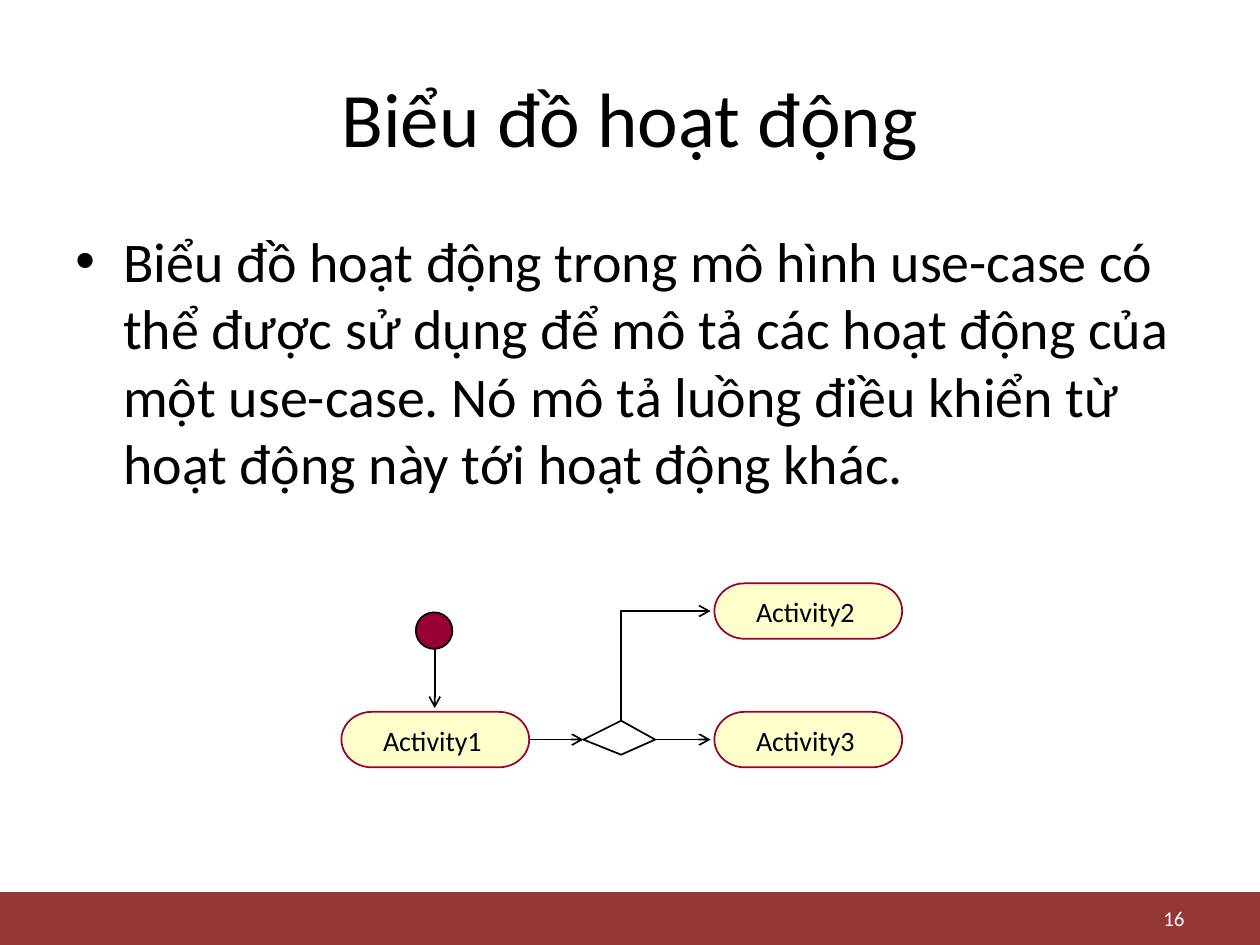
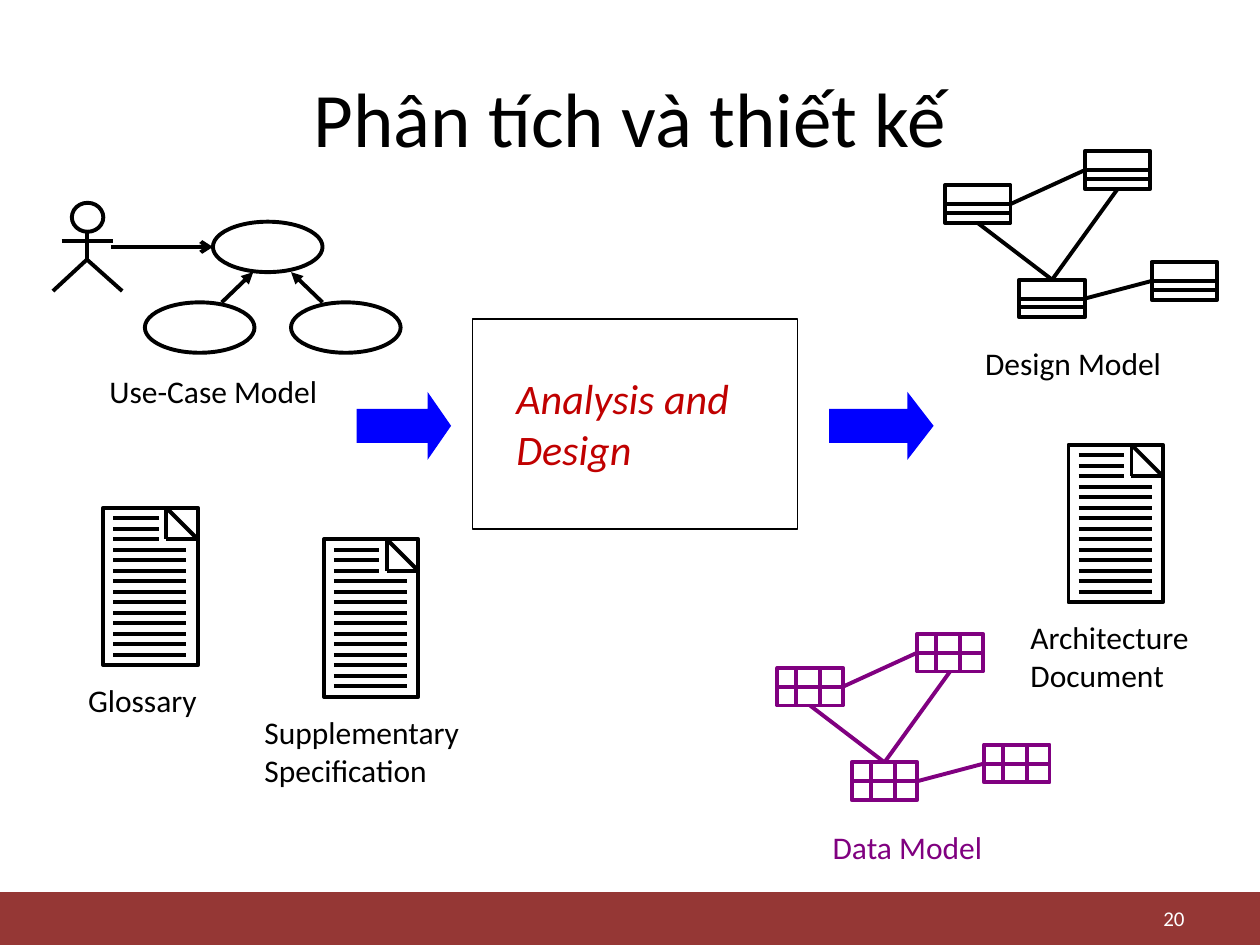
import pptx
import pptx.util
import pptx.dml.color
import pptx.enum.shapes
import pptx.enum.text
import pptx.oxml
import pptx.oxml.ns
from pptx.util import Inches

FONT = "Calibri"
BLACK, WHITE, BAND = "000000", "FFFFFF", "953735"
MAROON, CREAM = "990033", "FFFFCC"
PURPLE, BLUE, RED = "800080", "0000FF", "C00000"
THIN, THICK = 1, 2.25

MSO = pptx.enum.shapes.MSO_SHAPE
ALIGN = pptx.enum.text.PP_ALIGN
ANCHOR = pptx.enum.text.MSO_ANCHOR
AUTO = pptx.enum.text.MSO_AUTO_SIZE
TOP, LEFT, BOTTOM, RIGHT = range(4)

ACTIVITY_TITLE, ACTIVITY_PAGE = "Biểu đồ hoạt động", "16"
ACTIVITY_BODY = (
    "Biểu đồ hoạt động trong mô hình use-case có thể được sử dụng để mô tả "
    "các hoạt động của một use-case. Nó mô tả luồng điều khiển từ hoạt động "
    "này tới hoạt động khác."
)
ACTIVITIES = [("Activity1", 2.71, 5.65), ("Activity2", 5.67, 4.63), ("Activity3", 5.67, 5.65)]
ACTIVITY_SIZE = (1.49, 0.44)
DECISION = [(4.63, 5.87), (4.93, 5.72), (5.2, 5.87), (4.93, 5.99)]
BRANCH = [(4.93, 5.72), (4.93, 4.85), (5.64, 4.85)]

DESIGN_TITLE, DESIGN_PAGE = "Phân tích và thiết kế", "20"
DOCUMENTS = [
    (2.57, 4.28, ["Supplementary", "Specification"], (2, 5.61, 1.88, 0.7)),
    (8.48, 3.53, ["Architecture", "Document"], (8.08, 4.86, 1.53, 0.7)),
    (0.82, 4.03, ["Glossary"], (0.6, 5.36, 1.19, 0.4)),
]
DOC_W, DOC_H, FOLD, DOC_ROWS, SHORT_ROWS = 0.75, 1.25, 0.25, 15, 3
MODELS = [
    (7.5, 1.2, BLACK, [0.15, 0.22], [], "Design Model", (7.72, 2.68, 1.73, 0.4)),
    (6.17, 5.03, PURPLE, [0.15], [0.15, 0.34], "Data Model", (6.51, 6.52, 1.48, 0.4)),
]
MODEL_BOXES = [(0, 0.27), (1.11, 0), (0.59, 1.02), (1.64, 0.88)]
MODEL_LINKS = [(2, TOP, 0, BOTTOM), (0, RIGHT, 1, LEFT), (2, RIGHT, 3, LEFT), (2, TOP, 1, BOTTOM)]
BOX_W, BOX_H = 0.52, 0.3
USE_CASES = [(1.69, 1.76), (1.15, 2.4), (2.31, 2.4)]
ACTOR_LINES = [((0.69, 1.85), (0.69, 2.06)), ((0.49, 1.91), (0.9, 1.91))]
ACTOR_LEGS = [(0.42, 2.31), (0.69, 2.06), (0.97, 2.31)]
USE_CASE_ARROWS = [
    ((0.88, 1.96), (1.69, 1.96), "arrow"),
    ((1.76, 2.4), (2.01, 2.16), "triangle"),
    ((2.56, 2.4), (2.31, 2.16), "triangle"),
]
BLOCK_ARROWS = [(2.83, 0.75, 0.346), (6.58, 0.83, 0.385)]


def rgb(color):
    return pptx.dml.color.RGBColor.from_string(color)


def element(xml):
    return pptx.oxml.parse_xml(xml.replace(">", " " + pptx.oxml.ns.nsdecls("a") + ">", 1))


def style(sp, fill=None, line=None, width=THIN):
    sp.shadow.inherit = False
    if fill:
        sp.fill.solid()
        sp.fill.fore_color.rgb = rgb(fill)
    else:
        sp.fill.background()
    if line:
        sp.line.color.rgb = rgb(line)
        sp.line.width = pptx.util.Pt(width)
    else:
        sp.line.fill.background()
    return sp


def shape(shapes, kind, box, fill=None, line=None, width=THIN):
    return style(shapes.add_shape(kind, *map(Inches, box)), fill, line, width)


def arrowhead(sp, head):
    sp.line._get_or_add_ln().append(element(f'<a:tailEnd type="{head}"></a:tailEnd>'))


def connect(shapes, start, end, color=BLACK, width=THICK, head=None):
    points = map(Inches, (*start, *end))
    c = shapes.add_connector(pptx.enum.shapes.MSO_CONNECTOR.STRAIGHT, *points)
    c.line.color.rgb = rgb(color)
    c.line.width = pptx.util.Pt(width)
    if head:
        arrowhead(c, head)
    c._element.spPr.append(element("<a:effectLst></a:effectLst>"))
    return c


def outline(shapes, points, width, close=False):
    first, *rest = [(Inches(x), Inches(y)) for x, y in points]
    builder = shapes.build_freeform(*first, scale=1.0)
    builder.add_line_segments(rest, close=close)
    return style(builder.convert_to_shape(), None, BLACK, width)


def write(tf, lines, size, color=BLACK, align=ALIGN.LEFT, italic=False):
    for i, line in enumerate(lines):
        p = tf.add_paragraph() if i else tf.paragraphs[0]
        p.alignment = align
        r = p.add_run()
        r.text = line
        r.font.name = FONT
        r.font.size = pptx.util.Pt(size)
        r.font.color.rgb = rgb(color)
        if italic:
            r.font.italic = True


def textbox(shapes, box, lines, size, color=BLACK, wrap=True, **kwargs):
    tf = shapes.add_textbox(*map(Inches, box)).text_frame
    tf.word_wrap = wrap
    write(tf, lines, size, color, **kwargs)
    return tf


def label(shapes, box, lines, color=BLACK):
    tf = textbox(shapes, box, lines, 18, color, wrap=False)
    tf.auto_size = AUTO.SHAPE_TO_FIT_TEXT


def group(s):
    return s.shapes.add_group_shape().shapes


def new_slide(prs, title, page):
    s = prs.slides.add_slide(prs.slide_layouts.get_by_name("Title Only"))
    shape(s.shapes, MSO.RECTANGLE, (0, 7.08, 10, 0.42), BAND)
    sp = s.shapes.title
    sp.left, sp.top, sp.width, sp.height = map(Inches, (0.5, 0.3, 9, 1.25))
    sp.text_frame.vertical_anchor = ANCHOR.MIDDLE
    write(sp.text_frame, [title], 44, align=ALIGN.CENTER)
    tf = textbox(s.shapes, (7.17, 7.15, 2.33, 0.27), [page], 12, WHITE, align=ALIGN.RIGHT)
    tf.vertical_anchor = ANCHOR.MIDDLE
    return s


def draw_activity(shapes, name, x, y):
    sp = shape(shapes, MSO.FLOWCHART_TERMINATOR, (x, y, *ACTIVITY_SIZE), CREAM, MAROON)
    tf = textbox(shapes, (x + 0.21, y + 0.03, 1.08, 0.39), [name], 16)
    tf.margin_left = tf.margin_right = Inches(0.12)
    tf.margin_top = tf.margin_bottom = Inches(0.06)
    return sp


def activity_slide(prs):
    s = new_slide(prs, ACTIVITY_TITLE, ACTIVITY_PAGE)
    tf = textbox(s.shapes, (0.5, 1.75, 9, 2.5), [ACTIVITY_BODY], 32)
    pPr = tf.paragraphs[0]._p.get_or_add_pPr()
    pPr.set("marL", str(Inches(0.38)))
    pPr.set("indent", str(-Inches(0.38)))
    pPr.append(element('<a:buFont typeface="Arial"></a:buFont>'))
    pPr.append(element('<a:buChar char="•"></a:buChar>'))

    arrowhead(outline(s.shapes, BRANCH, THIN), "arrow")
    outline(s.shapes, DECISION, THIN, close=True)
    connect(s.shapes, (3.45, 5.12), (3.45, 5.62), width=THIN, head="arrow")
    shape(s.shapes, MSO.OVAL, (3.3, 4.86, 0.29, 0.29), MAROON, BLACK)
    first, *_ = [draw_activity(s.shapes, *activity) for activity in ACTIVITIES]
    c = connect(s.shapes, (4.2, 5.87), DECISION[0], width=THIN, head="arrow")
    c.begin_connect(first, RIGHT)
    connect(s.shapes, DECISION[2], (5.64, 5.87), width=THIN, head="arrow")


def draw_document(shapes, x, y, lines, label_box):
    shape(shapes, MSO.RECTANGLE, (x, y, DOC_W, DOC_H), None, BLACK, THICK)
    fold = x + DOC_W - FOLD
    a, b, c = (fold, y), (x + DOC_W, y + FOLD), (fold, y + FOLD)
    for start, end in ((a, b), (a, c), (b, c)):
        connect(shapes, start, end)
    for row in range(1, DOC_ROWS):
        row_y = y + row * DOC_H / DOC_ROWS
        end_x = x + (0.44 if row <= SHORT_ROWS else 0.66)
        connect(shapes, (x + 0.08, row_y), (end_x, row_y))
    label(shapes, label_box, lines)


def draw_model(shapes, x, y, color, rows, columns, name, label_box):
    boxes = []
    for dx, dy in MODEL_BOXES:
        bx, by = x + dx, y + dy
        boxes.append(shape(shapes, MSO.RECTANGLE, (bx, by, BOX_W, BOX_H), None, color, THICK))
        for row in rows:
            connect(shapes, (bx, by + row), (bx + BOX_W, by + row), color)
        for column in columns:
            connect(shapes, (bx + column, by), (bx + column, by + BOX_H), color)
    for begin, begin_side, end, end_side in MODEL_LINKS:
        c = connect(shapes, (x, y), (x + BOX_W, y + BOX_H), color)
        c.begin_connect(boxes[begin], begin_side)
        c.end_connect(boxes[end], end_side)
    label(shapes, label_box, [name], color)


def draw_use_cases(shapes):
    shape(shapes, MSO.OVAL, (0.57, 1.61, 0.25, 0.23), None, BLACK, THICK)
    for start, end in ACTOR_LINES:
        connect(shapes, start, end)
    outline(shapes, ACTOR_LEGS, THICK)
    for x, y in USE_CASES:
        shape(shapes, MSO.OVAL, (x, y, 0.87, 0.4), None, BLACK, THICK)
    for start, end, head in USE_CASE_ARROWS:
        connect(shapes, start, end, head=head)
    label(shapes, (0.77, 2.9, 2.06, 0.4), ["Use-Case Model"])


def design_slide(prs):
    s = new_slide(prs, DESIGN_TITLE, DESIGN_PAGE)
    draw_use_cases(group(s))
    for model in MODELS:
        draw_model(group(s), *model)
    for document in DOCUMENTS:
        draw_document(group(s), *document)
    process = group(s)
    shape(process, MSO.RECTANGLE, (3.75, 2.53, 2.58, 1.67), None, BLACK)
    textbox(process, (4, 2.91, 2.08, 0.91), ["Analysis and Design"], 24, RED, italic=True)
    for x, width, head in BLOCK_ARROWS:
        sp = shape(s.shapes, MSO.RIGHT_ARROW, (x, 3.11, width, 0.54), BLUE)
        sp.adjustments[0], sp.adjustments[1] = 0.5, head


def main():
    prs = pptx.Presentation()
    prs.slide_width, prs.slide_height = Inches(10), Inches(7.5)
    activity_slide(prs)
    design_slide(prs)
    prs.save("out.pptx")


if __name__ == "__main__":
    main()
